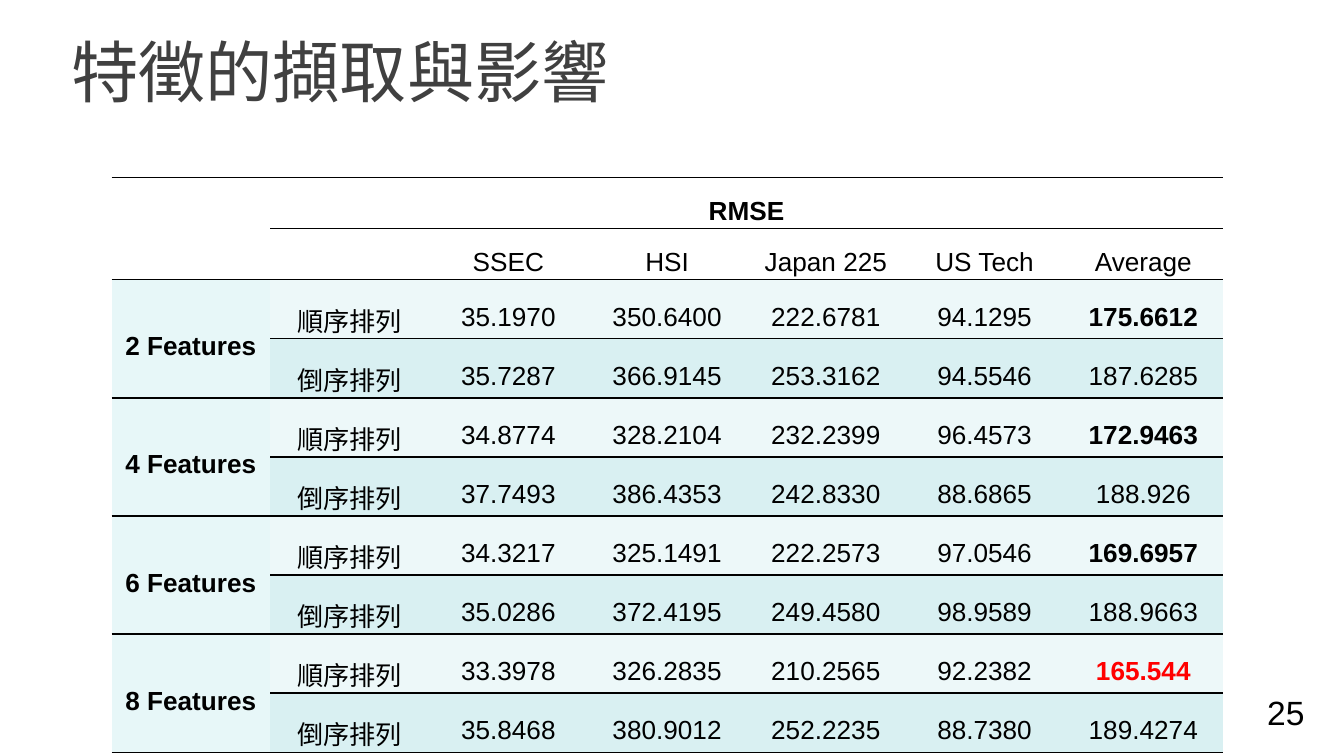
from lxml.etree import SubElement as Sub
from pptx import Presentation
from pptx.dml.color import RGBColor as Rgb
from pptx.enum.text import MSO_ANCHOR as Anchor, PP_ALIGN as Align
from pptx.oxml.ns import qn
from pptx.util import Inches, Pt

HUES = {
    "ink": "000000",
    "title": "404040",
    "best": "FF0000",
    "group": "E7F7F8",
    "light": "EDF8F9",
    "dark": "D9F0F2",
}
LATIN, HAN = "Arial", "Noto Sans CJK SC"
HEADS = ["SSEC", "HSI", "Japan 225", "US Tech", "Average"]
ORDERS = ["順序排列", "倒序排列"]
SCORES = {
    "2 Features": [
        ["35.1970", "350.6400", "222.6781", "94.1295", "175.6612"],
        ["35.7287", "366.9145", "253.3162", "94.5546", "187.6285"],
    ],
    "4 Features": [
        ["34.8774", "328.2104", "232.2399", "96.4573", "172.9463"],
        ["37.7493", "386.4353", "242.8330", "88.6865", "188.926"],
    ],
    "6 Features": [
        ["34.3217", "325.1491", "222.2573", "97.0546", "169.6957"],
        ["35.0286", "372.4195", "249.4580", "98.9589", "188.9663"],
    ],
    "8 Features": [
        ["33.3978", "326.2835", "210.2565", "92.2382", "165.544"],
        ["35.8468", "380.9012", "252.2235", "88.7380", "189.4274"],
    ],
}


def style(item, form):
    for key, value in form.items():
        setattr(item, key, value)


def write(frame, text, size, hue="ink", face=LATIN, bold=False, **para):
    line = frame.paragraphs[0]
    style(line, para)
    run = line.add_run()
    run.text = text
    style(run.font, {"size": Pt(size), "name": face, "bold": bold})
    run.font.color.rgb = Rgb.from_string(HUES[hue])
    if face == HAN:
        Sub(run.font._element, qn("a:ea"), typeface=face)


def label(slide, box, text, size, wrap, **form):
    frame = slide.shapes.add_textbox(*map(Inches, box)).text_frame
    style(frame, {"word_wrap": wrap, "vertical_anchor": Anchor.MIDDLE})
    write(frame, text, size, **form)


def rule(cell, side):
    edge = Sub(cell._tc.get_or_add_tcPr(), qn("a:" + side), w=str(Pt(1)))
    fill = Sub(edge, qn("a:solidFill"))
    Sub(fill, qn("a:srgbClr"), val=HUES["ink"])


def put(cell, text, **form):
    write(cell.text_frame, text, 14, alignment=Align.CENTER,
          line_spacing=1.55, **form)


def prepare(grid):
    style(grid, {"first_row": False, "horz_banding": False})
    plain = "{2D5ABB26-0587-4C30-8999-92F81FD0307C}"
    grid._tbl.tblPr.find(qn("a:tableStyleId")).text = plain
    form = {"margin_left": Inches(0.08), "margin_right": Inches(0.08),
            "margin_top": 0, "margin_bottom": 0,
            "vertical_anchor": Anchor.MIDDLE}
    for row, line in enumerate(grid.rows):
        line.height = Inches(0.38 if row < 2 else 0.44)
        for col, cell in enumerate(line.cells):
            style(cell, form)
            if row == 0:
                rule(cell, "lnT")
            rule(cell, "lnB")
            if row < 2:
                cell.fill.background()
                continue
            tint = "group" if col == 0 else ("light", "dark")[row % 2]
            cell.fill.solid()
            cell.fill.fore_color.rgb = Rgb.from_string(HUES[tint])


def results(slide, box):
    count = 2 + len(SCORES) * len(ORDERS)
    span = len(HEADS) + 2
    grid = slide.shapes.add_table(count, span, *map(Inches, box)).table
    prepare(grid)
    grid.cell(0, 0).merge(grid.cell(1, 0))
    grid.cell(0, 1).merge(grid.cell(0, span - 1))
    put(grid.cell(0, 1), "RMSE", bold=True)
    for col, head in enumerate(HEADS, 2):
        put(grid.cell(1, col), head)
    best = min((pair[0][-1] for pair in SCORES.values()), key=float)
    for group, (name, pair) in enumerate(SCORES.items()):
        top = 2 + 2 * group
        grid.cell(top, 0).merge(grid.cell(top + 1, 0))
        put(grid.cell(top, 0), name, bold=True)
        for step, (order, scores) in enumerate(zip(ORDERS, pair)):
            put(grid.cell(top + step, 1), order, face=HAN)
            for col, score in enumerate(scores, 2):
                put(grid.cell(top + step, col), score,
                    bold=step == 0 and col == span - 1,
                    hue="best" if score == best else "ink")


def main():
    deck = Presentation()
    wide = Inches(10)
    style(deck, {"slide_width": wide, "slide_height": wide * 9 // 16})
    slide = deck.slides.add_slide(deck.slide_layouts[6])
    label(slide, (9.33, 5.1, 0.51, 0.4), "25", 18, False)
    label(slide, (0.43, 0.21, 9.21, 0.63), "特徵的擷取與影響", 36, True,
          hue="title", face=HAN)
    results(slide, (0.83, 1.32, 8.27, 3.81))
    deck.save("out.pptx")


if __name__ == "__main__":
    main()
